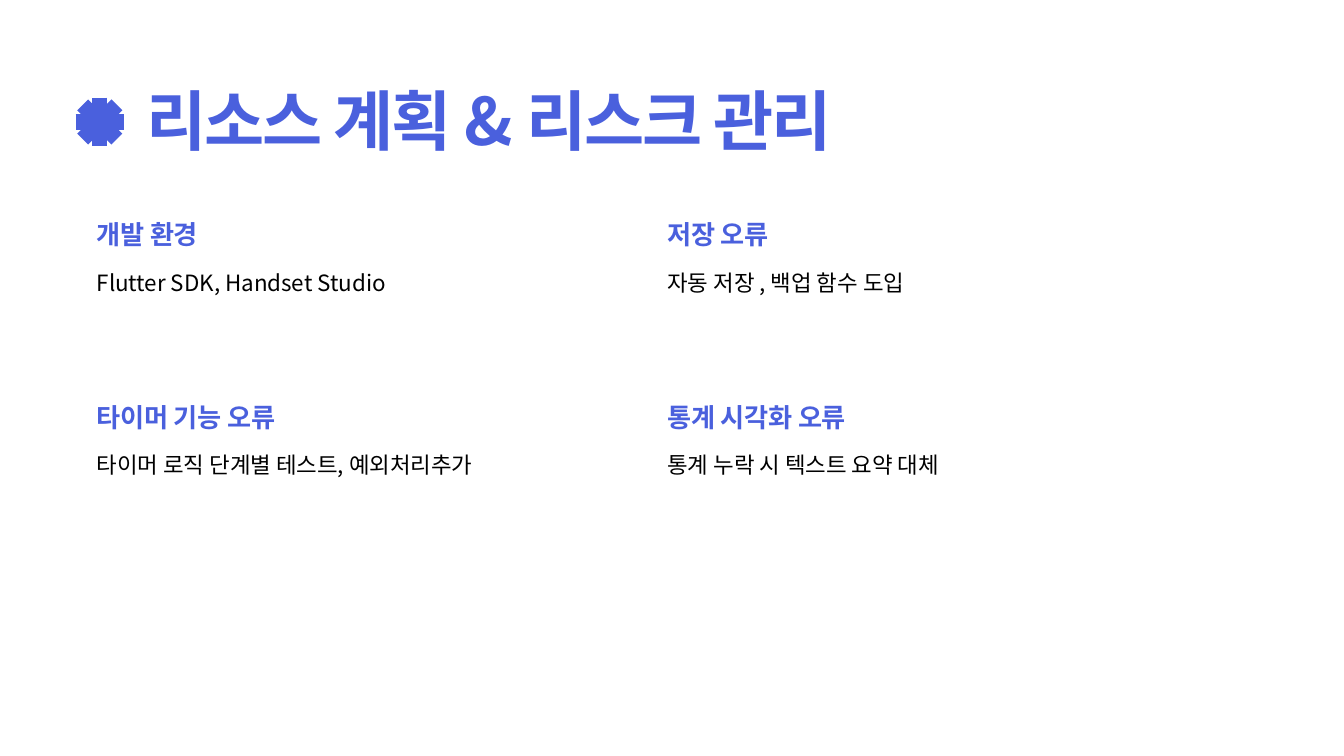
from dataclasses import dataclass
from math import cos, radians, sin

from lxml import etree
from pptx import Presentation
from pptx import util as u
from pptx.dml.color import RGBColor
from pptx.enum import shapes, text
from pptx.oxml import ns

WIDTH, HEIGHT = 13.33, 7.5
FONT = "Noto Sans CJK KR"
BLUE, BLACK = "4A60DD", "000000"
GRID_LEFT, GRID_TOP = 0.96, 2.12
COLUMN_STEP, ROW_STEP = 5.66, 1.81
BODY_OFFSET = 0.49


@dataclass(frozen=True)
class TextStyle:
    size: float
    line_height: float
    color: str
    bold: bool = False
    tracking: float = 0


@dataclass(frozen=True)
class Topic:
    column: int
    row: int
    heading: str
    body: str


TITLE = TextStyle(46.7, 46.7, BLUE, True, -1.4)
HEADING = TextStyle(18.7, 25.9, BLUE, True, -0.2)
BODY = TextStyle(16, 23.3, BLACK)

TOPICS = (
    Topic(0, 0, "개발 환경", "Flutter SDK, Handset Studio"),
    Topic(0, 1, "타이머 기능 오류", "타이머 로직 단계별 테스트, 예외처리추가"),
    Topic(1, 0, "저장 오류", "자동 저장 , 백업 함수 도입"),
    Topic(1, 1, "통계 시각화 오류", "통계 누락 시 텍스트 요약 대체"),
)


def rgb(color: str) -> RGBColor:
    return RGBColor.from_string(color)


def add_text(page, words: str, left: float, top: float, width: float,
             height: float, style: TextStyle) -> None:
    box = page.shapes.add_textbox(*map(u.Inches, (left, top, width, height)))
    frame = box.text_frame
    frame.word_wrap = True
    frame.auto_size = text.MSO_AUTO_SIZE.SHAPE_TO_FIT_TEXT
    frame.margin_left = frame.margin_right = 0
    frame.margin_top = frame.margin_bottom = 0
    frame.text = words
    para = frame.paragraphs[0]
    para.line_spacing = u.Pt(style.line_height)
    span = para.runs[0]
    span.font.name = FONT
    span.font.size = u.Pt(style.size)
    span.font.bold = style.bold
    span.font.color.rgb = rgb(style.color)
    properties = span.font._element
    properties.set("spc", str(round(style.tracking * 100)))
    east_asian = etree.SubElement(properties, ns.qn("a:ea"))
    east_asian.set("typeface", FONT)


def add_asterisk(page, center_x: float, center_y: float, radius: float) -> None:
    group = page.shapes.add_group_shape()
    for angle in range(0, 180, 45):
        dx = radius * cos(radians(angle))
        dy = radius * sin(radians(angle))
        ends = (center_x - dx, center_y - dy, center_x + dx, center_y + dy)
        spoke = group.shapes.add_connector(
            shapes.MSO_CONNECTOR.STRAIGHT, *map(u.Inches, ends))
        spoke.line.color.rgb = rgb(BLUE)
        spoke.line.width = u.Pt(11)
        etree.SubElement(spoke._element.spPr, ns.qn("a:effectLst"))


def add_topic(page, topic: Topic) -> None:
    left = GRID_LEFT + topic.column * COLUMN_STEP
    top = GRID_TOP + topic.row * ROW_STEP
    add_text(page, topic.body, left, top + BODY_OFFSET, 5.1, 0.29, BODY)
    add_text(page, topic.heading, left, top, 4.43, 0.33, HEADING)


def main() -> None:
    deck = Presentation()
    deck.slide_width, deck.slide_height = u.Inches(WIDTH), u.Inches(HEIGHT)
    page = deck.slides.add_slide(deck.slide_layouts[6])
    add_text(page, "리소스 계획 & 리스크 관리", 1.45, 0.92, 10.63, 0.66, TITLE)
    add_asterisk(page, 0.99, 1.21, 0.24)
    for topic in TOPICS:
        add_topic(page, topic)
    deck.save("out.pptx")


if __name__ == "__main__":
    main()
